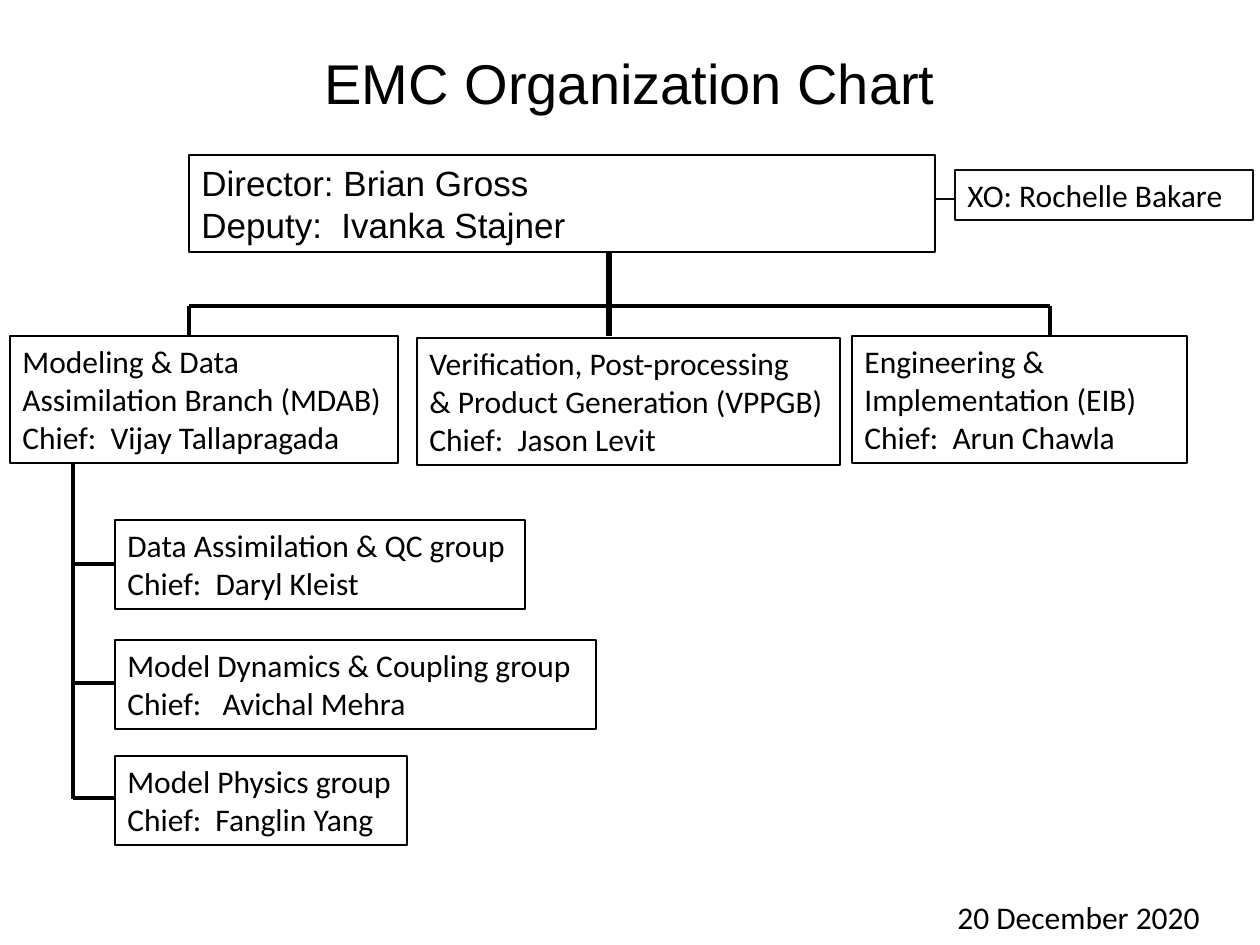
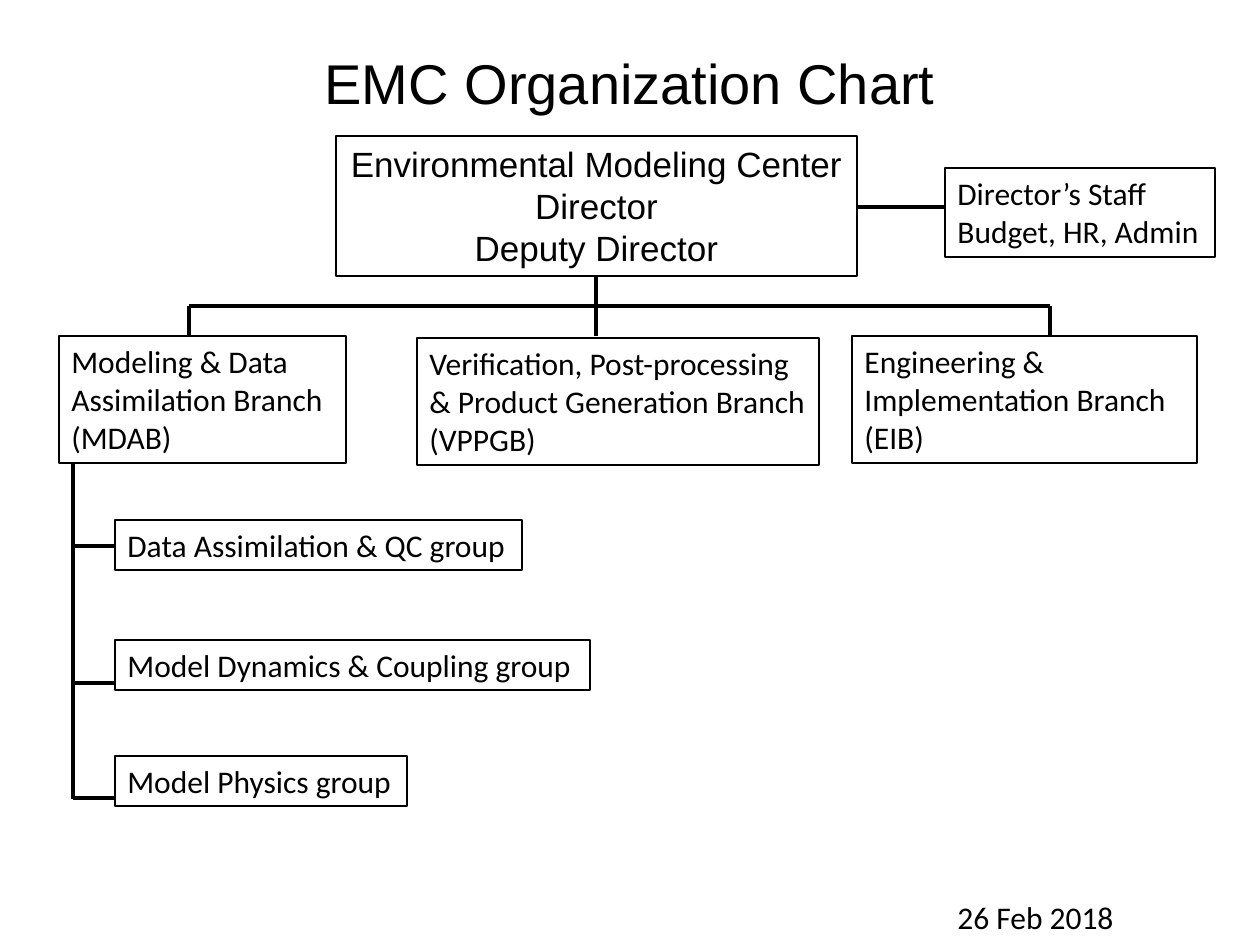
from collections import namedtuple

import pptx
import pptx.util
import pptx.dml.color
import pptx.enum.shapes
import pptx.enum.text
import pptx.oxml.ns
from lxml import etree

# Shared measures and styles
EMU_PER_PIXEL = 914400 / 126
SLIDE_WIDTH, SLIDE_HEIGHT = 1260, 945
BLACK = pptx.dml.color.RGBColor(0, 0, 0)
NEAR_BLACK = pptx.dml.color.RGBColor(0x0D, 0x0D, 0x0D)
HEADING_FONT, BODY_FONT = "Arial", "Calibri"
TITLE_SIZE, LEADER_SIZE, BODY_SIZE = 32, 20, 18
BORDER_WIDTH, LINE_WIDTH = 0.75, 2.25
LEFT = pptx.enum.text.PP_ALIGN.LEFT
CENTER = pptx.enum.text.PP_ALIGN.CENTER

Box = namedtuple("Box", "left top width height")

# Regions that both slides share
TITLE_BOX = Box(0, 42, SLIDE_WIDTH, 81)
BRANCH_REGION = Box(0, 306, SLIDE_WIDTH, 158)
GROUP_REGION = Box(73, 464, 600, 381)


def pixels(value):
    return pptx.util.Emu(round(value * EMU_PER_PIXEL))


def place(box):
    return [pixels(value) for value in box]


def write_text(shape, lines, size=BODY_SIZE, font=BODY_FONT, alignment=LEFT):
    frame = shape.text_frame
    frame.word_wrap = True
    frame.vertical_anchor = pptx.enum.text.MSO_ANCHOR.TOP
    frame.text = "\n".join(lines)
    for paragraph in frame.paragraphs:
        paragraph.alignment = alignment
        paragraph.font.name = font
        paragraph.font.size = pptx.util.Pt(size)
        paragraph.font.color.rgb = BLACK


def add_box(slide, box, lines, border=BLACK, **text_style):
    shape = slide.shapes.add_shape(
        pptx.enum.shapes.MSO_SHAPE.RECTANGLE, *place(box))
    shape.shadow.inherit = False
    shape.fill.background()
    shape.line.color.rgb = border
    shape.line.width = pptx.util.Pt(BORDER_WIDTH)
    write_text(shape, lines, **text_style)


def add_line(slide, start, end, width=LINE_WIDTH, color=BLACK):
    connector = slide.shapes.add_connector(
        pptx.enum.shapes.MSO_CONNECTOR.STRAIGHT, *place(start + end))
    connector.line.color.rgb = color
    connector.line.width = pptx.util.Pt(width)
    etree.SubElement(connector._element.spPr,
                     pptx.oxml.ns.qn("a:effectLst"))


def add_title(slide, box, text):
    title = slide.shapes.title
    title.left, title.top, title.width, title.height = place(box)
    write_text(title, [text], TITLE_SIZE, HEADING_FONT, CENTER)


def add_date(slide, box, text):
    write_text(slide.shapes.add_textbox(*place(box)), [text])


def add_leadership(slide, box, lines, alignment, staff_box, staff_lines,
                   link_y, link_width=LINE_WIDTH, staff_color=BLACK):
    """Director's box and the staff box linked to its right side."""
    add_box(slide, box, lines, size=LEADER_SIZE, font=HEADING_FONT,
            alignment=alignment)
    add_box(slide, staff_box, staff_lines, border=staff_color)
    add_line(slide, (box.left + box.width, box.top + link_y),
             (staff_box.left, box.top + link_y), link_width, staff_color)


def add_branches(slide, region, branches, trunk_x, trunk_top, trunk_width):
    """Row of branches hanging from a bus; each is (left, drop, width, lines)."""
    bus_left, bus_right = region.left + 189, region.left + 1050
    row_top = region.top + 30
    add_line(slide, (trunk_x, trunk_top), (trunk_x, row_top), trunk_width)
    add_line(slide, (bus_left, region.top), (bus_right, region.top))
    for x in (bus_left, bus_right):
        add_line(slide, (x, region.top), (x, row_top - 1))
    for left, drop, width, lines in branches:
        box = Box(region.left + left, row_top + drop, width, 127)
        add_box(slide, box, lines)


def add_groups(slide, region, box_height, groups):
    """Groups on a side rail; each is (top, tick, width, lines)."""
    rail_x, box_left = region.left, region.left + 42
    add_line(slide, (rail_x, region.top), (rail_x, region.top + 335))
    for top, tick, width, lines in groups:
        tick_y = region.top + tick
        add_line(slide, (rail_x, tick_y), (box_left, tick_y))
        add_box(slide, Box(box_left, region.top + top, width, box_height), lines)


presentation = pptx.Presentation()
presentation.slide_width = pixels(SLIDE_WIDTH)
presentation.slide_height = pixels(SLIDE_HEIGHT)


def new_chart_slide(date, date_width):
    title_only = presentation.slide_layouts[5]
    slide = presentation.slides.add_slide(title_only)
    add_title(slide, TITLE_BOX, "EMC Organization Chart")
    add_date(slide, Box(945, 892, date_width, 50), date)
    return slide


# Slide 1: chart with the people in each post
slide = new_chart_slide("20 December 2020", 271)
add_leadership(
    slide, Box(189, 155, 746, 97),
    ["Director: Brian Gross", "Deputy:  Ivanka Stajner"], LEFT,
    Box(955, 170, 298, 50), ["XO: Rochelle Bakare"],
    link_y=44, link_width=1.5, staff_color=NEAR_BLACK)
add_branches(slide, BRANCH_REGION, [
    (10, 0, 388, ["Modeling & Data", "Assimilation Branch (MDAB)",
                  "Chief:  Vijay Tallapragada"]),
    (417, 2, 423, ["Verification, Post-processing",
                   "& Product Generation (VPPGB)", "Chief:  Jason Levit"]),
    (852, 0, 335, ["Engineering &", "Implementation (EIB)",
                   "Chief:  Arun Chawla"]),
], trunk_x=609, trunk_top=252, trunk_width=3)
add_groups(slide, GROUP_REGION, 89, [
    (56, 100, 410, ["Data Assimilation & QC group",
                    "Chief:  Daryl Kleist"]),
    (176, 219, 481, ["Model Dynamics & Coupling group",
                     "Chief:   Avichal Mehra"]),
    (292, 334, 292, ["Model Physics group", "Chief:  Fanglin Yang"]),
])

# Slide 2: chart of the posts alone
slide = new_chart_slide("26 Feb 2018", 184)
add_leadership(
    slide, Box(336, 136, 521, 140),
    ["Environmental Modeling Center", "Director", "Deputy Director"], CENTER,
    Box(945, 168, 270, 89), ["Director’s Staff", "Budget, HR, Admin"],
    link_y=71)
add_branches(slide, BRANCH_REGION, [
    (59, 0, 287, ["Modeling & Data", "Assimilation Branch", "(MDAB)"]),
    (417, 2, 402, ["Verification, Post-processing",
                   "& Product Generation Branch (VPPGB)"]),
    (852, 0, 345, ["Engineering &", "Implementation Branch (EIB)"]),
], trunk_x=596, trunk_top=276, trunk_width=LINE_WIDTH)
add_groups(slide, GROUP_REGION, 50, [
    (56, 82, 407, ["Data Assimilation & QC group"]),
    (176, 219, 475, ["Model Dynamics & Coupling group"]),
    (292, 334, 292, ["Model Physics group"]),
])

presentation.save("out.pptx")
